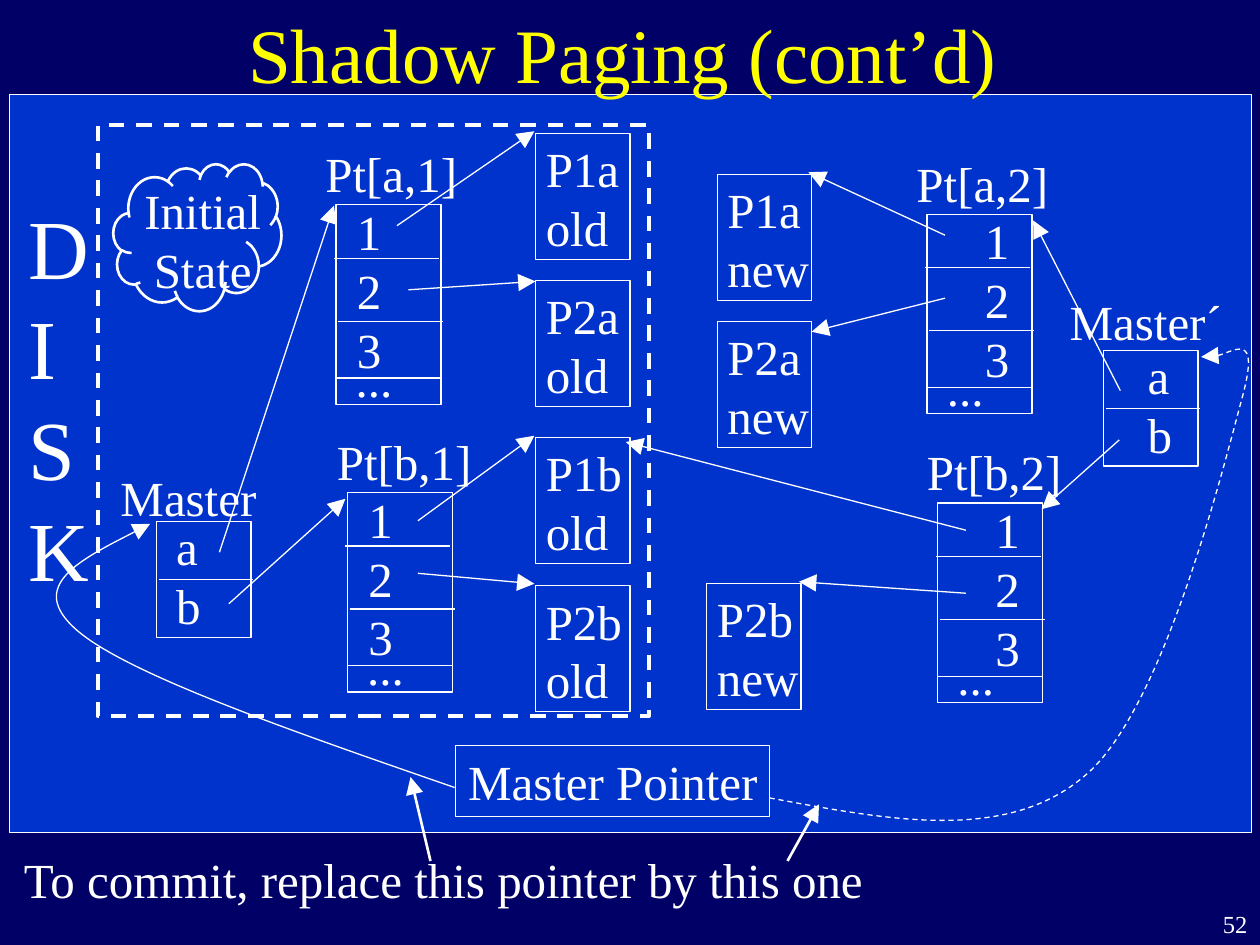
from dataclasses import dataclass

from lxml.etree import SubElement
from pptx import Presentation
from pptx.dml.color import RGBColor
from pptx.enum.dml import MSO_LINE
from pptx.enum.shapes import MSO_CONNECTOR, MSO_SHAPE
from pptx.enum.text import MSO_ANCHOR, PP_ALIGN
from pptx.oxml.ns import qn
from pptx.util import Inches, Pt


@dataclass(frozen=True)
class Theme:
    """Colours, font and type sizes of the slide."""

    background: RGBColor = RGBColor(0x00, 0x00, 0x66)
    disk: RGBColor = RGBColor(0x00, 0x33, 0xCC)
    ink: RGBColor = RGBColor(0xFF, 0xFF, 0xFF)
    title: RGBColor = RGBColor(0xFF, 0xFF, 0x00)
    font: str = "Times New Roman"
    title_size: int = 44
    disk_size: int = 48
    body_size: int = 28
    number_size: int = 14
    thin: float = 0.75
    medium: float = 1.5
    thick: float = 2.25


THEME = Theme()
COLUMNS, ROWS = 120, 90
WIDTH, HEIGHT = Inches(10), Inches(7.5)
PAGES = [
    ("P1a", "old", 51, 12.7), ("P2a", "old", 51, 26.7),
    ("P1b", "old", 51, 41.7), ("P2b", "old", 51, 55.8),
    ("P1a", "new", 68.3, 16.6), ("P2a", "new", 68.3, 30.6),
    ("P2b", "new", 67.3, 55.6),
]
PAGE_TABLES = [
    ("Pt[a,1]", 32, 19.5, 0), ("Pt[b,1]", 33.1, 46.9, 0),
    ("Pt[a,2]", 88.3, 20.4, 3.5), ("Pt[b,2]", 89.3, 47.9, 3.5),
]
POINTERS = [
    ((20.9, 52.6), (31.8, 19.6)), ((21.8, 57.5), (32.9, 47.5)),
    ((37.8, 21.5), (50.9, 12.5)), ((38.9, 27.6), (51, 26.8)),
    ((39.8, 49.6), (50.9, 41.5)), ((39.8, 54.6), (50.9, 55.6)),
    ((90, 22.4), (77, 16.4)), ((92, 50.5), (59.6, 42.1)),
    ((92, 56.5), (76.1, 55.4)), ((90, 28.4), (77.3, 31.6)),
    ((106.7, 37.2), (98.4, 21)), ((106.6, 41.9), (99.2, 48.5)),
]
COMMIT_POINTERS = [((41, 82), (39.1, 74)), ((75, 82), (78, 76.6))]
OLD_CURVE = [
    (43.3, 75), (27.7, 69.6), (12.1, 64.2), (7.3, 60),
    (2.5, 55.8), (8.4, 52.9), (14.3, 49.9),
]
NEW_CURVE = [
    (73.3, 76), (84.6, 78.1), (95.8, 80.3), (103.3, 73.9),
    (110.8, 67.7), (116.5, 44.6), (118.3, 37.9),
    (120.1, 31.3), (115, 34.7), (114.4, 34),
]


def place(column, row):
    """Turn grid columns and rows into slide lengths."""
    return round(column * WIDTH / COLUMNS), round(row * HEIGHT / ROWS)


def style_line(line, width, dash=None):
    """Give a line the ink colour, a width and an optional dash."""
    line.color.rgb = THEME.ink
    line.width = Pt(width)
    if dash:
        line.dash_style = dash


def add_head(line):
    """End a line with a large triangular arrowhead."""
    SubElement(line._get_or_add_ln(), qn("a:tailEnd"),
               type="triangle", w="lg", len="lg")


def add_text(slide, lines, left, top, width, height, size=THEME.body_size,
             color=THEME.ink, align=PP_ALIGN.LEFT, indent=0):
    """Add a text box with one paragraph for each line."""
    box = slide.shapes.add_textbox(*place(left, top), *place(width, height))
    frame = box.text_frame
    frame.word_wrap = False
    frame.margin_left += place(indent, 0)[0]
    frame.text = "\n".join(lines)
    for paragraph in frame.paragraphs:
        paragraph.alignment = align
        font = paragraph.runs[0].font
        font.name, font.size, font.color.rgb = THEME.font, Pt(size), color
    return frame


def add_box(slide, left, top, width, height, kind=MSO_SHAPE.RECTANGLE,
            fill=None, weight=THEME.thin, dash=None):
    """Add an outlined shape, hollow unless a fill is given."""
    shape = slide.shapes.add_shape(kind, *place(left, top), *place(width, height))
    shape.shadow.inherit = False
    if fill is None:
        shape.fill.background()
    else:
        shape.fill.solid()
        shape.fill.fore_color.rgb = fill
    style_line(shape.line, weight, dash)


def add_line(slide, start, end, weight=THEME.thin, head=False):
    """Add a straight line, with an arrowhead if asked."""
    connector = slide.shapes.add_connector(
        MSO_CONNECTOR.STRAIGHT, *place(*start), *place(*end))
    style_line(connector.line, weight)
    if head:
        add_head(connector.line)
    SubElement(connector._element.spPr, qn("a:effectLst"))


def add_curve(slide, points, dash=None):
    """Add an arrow of cubic curves through a start and triples of points."""
    start, *controls = [place(*point) for point in points]
    builder = slide.shapes.build_freeform(*start)
    builder.add_line_segments(controls, close=False)
    shape = builder.convert_to_shape()
    shape.shadow.inherit = False
    shape.fill.background()
    style_line(shape.line, THEME.thin, dash)
    add_head(shape.line)
    segments = list(shape._element.iter(qn("a:lnTo")))
    outline = segments[0].getparent()
    for first in range(0, len(segments), 3):
        curve = SubElement(outline, qn("a:cubicBezTo"))
        for segment in segments[first:first + 3]:
            curve.append(segment[0])
            outline.remove(segment)


def add_page(slide, name, version, left, top):
    """Add a data page with its name and version."""
    add_text(slide, [name, version], left - 0.2, top - 0.1, 11, 12.5)
    add_box(slide, left, top, 9, 12)


def add_page_table(slide, name, left, top, indent):
    """Add a page table with three numbered rows and a continuation row."""
    add_text(slide, [name], left - 2.2, top - 6.4, 16.2, 6.8)
    add_text(slide, ["1", "2", "3"], left + 0.8, top - 0.9, 5 + indent, 18,
             indent=indent)
    add_box(slide, left, top, 10, 19)
    for shift, drop in [(-0.2, 5.1), (0.2, 11.1), (0, 16.5)]:
        add_line(slide, (left + shift, top + drop), (left + shift + 10, top + drop))
    add_text(slide, ["..."], left + 0.7, top + 13.1, 6.5, 6.8)


def add_master(slide, name, left, top, label_left, label_top, indent=0):
    """Add a master record with its label and its entries a and b."""
    add_text(slide, [name], label_left, label_top, 18, 6.8)
    add_text(slide, ["a", "b"], left + 0.7, top - 1.1, 5 + indent, 12.5,
             indent=indent)
    add_box(slide, left, top, 9, 11)
    add_line(slide, (left + 0.2, top + 5.5), (left + 9.2, top + 5.5))


def main():
    """Build the shadow paging slide and save it."""
    presentation = Presentation()
    presentation.slide_width, presentation.slide_height = WIDTH, HEIGHT
    slide = presentation.slides.add_slide(presentation.slide_layouts[6])
    slide.background.fill.solid()
    slide.background.fill.fore_color.rgb = THEME.background

    add_box(slide, 0.9, 9, 118.3, 70.3, fill=THEME.disk)
    title = add_text(slide, ["Shadow Paging (cont’d)"], 8.3, 1, 102, 8,
                     THEME.title_size, THEME.title, PP_ALIGN.CENTER)
    title.vertical_anchor = MSO_ANCHOR.MIDDLE
    add_text(slide, "DISK", 1.5, 18, 9, 39.6, THEME.disk_size)
    add_box(slide, 9.3, 11.9, 52.5, 56.3, weight=THEME.thick, dash=MSO_LINE.DASH)
    add_text(slide, ["Initial", "State"], 11.8, 16.6, 15, 12.5,
             align=PP_ALIGN.CENTER)
    add_box(slide, 10.8, 15.6, 16, 14, MSO_SHAPE.CLOUD, weight=THEME.medium)

    for page in PAGES:
        add_page(slide, *page)
    for table in PAGE_TABLES:
        add_page_table(slide, *table)
    add_master(slide, "Master", 14.9, 49.7, 10.3, 43.9)
    add_master(slide, "Master´", 105.1, 33.4, 100.7, 27.2, indent=2.3)
    add_box(slide, 43.4, 71, 29.9, 6.8)
    add_text(slide, ["Master Pointer"], 43.4, 71, 32, 6.8)

    for start, end in POINTERS:
        add_line(slide, start, end, head=True)
    add_curve(slide, OLD_CURVE)
    add_curve(slide, NEW_CURVE, MSO_LINE.DASH)
    add_text(slide, ["To commit, replace this pointer by this one"],
             1.1, 80.3, 85, 6.8)
    for start, end in COMMIT_POINTERS:
        add_line(slide, start, end, THEME.medium, head=True)
    add_text(slide, ["52"], 109, 86, 11, 4, THEME.number_size,
             align=PP_ALIGN.RIGHT)
    presentation.save("out.pptx")


if __name__ == "__main__":
    main()
